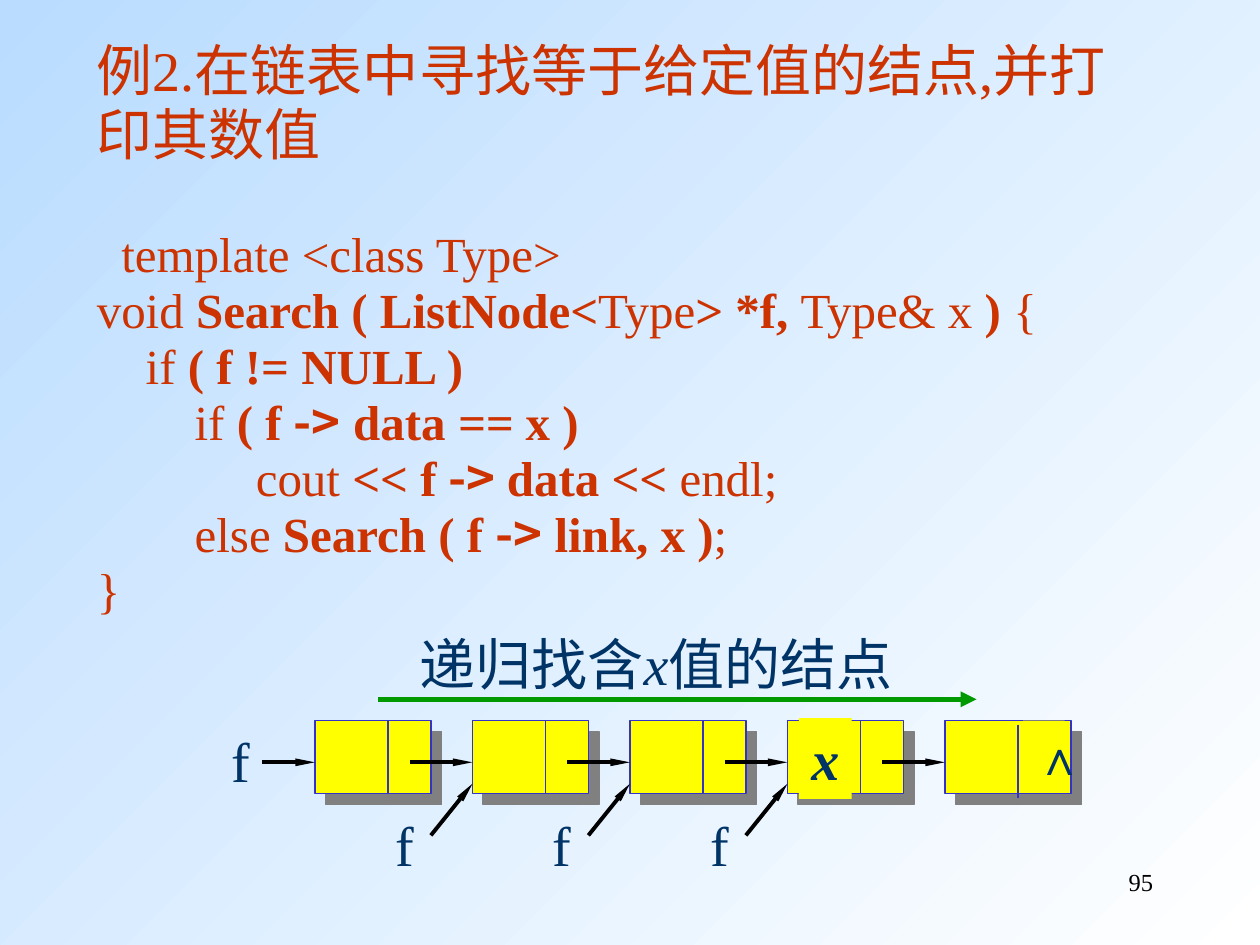
from dataclasses import dataclass

from lxml import etree
from pptx import Presentation
from pptx.dml.color import RGBColor
from pptx.enum.shapes import MSO_CONNECTOR, MSO_SHAPE
from pptx.enum.text import MSO_ANCHOR, MSO_AUTO_SIZE, PP_ALIGN
from pptx.oxml import parse_xml
from pptx.oxml.ns import nsdecls, qn
from pptx.util import Inches, Pt

STRAIGHT = MSO_CONNECTOR.STRAIGHT
RECTANGLE = MSO_SHAPE.RECTANGLE
MIDDLE = MSO_ANCHOR.MIDDLE
FIT_SHAPE = MSO_AUTO_SIZE.SHAPE_TO_FIT_TEXT
FIXED = MSO_AUTO_SIZE.NONE
RIGHT = PP_ALIGN.RIGHT


@dataclass(frozen=True)
class Theme:
    """Colours, fonts and type sizes of the slide."""
    sky: str = "B9DCFF"
    white: str = "FFFFFF"
    code: str = "CC3300"
    label: str = "003366"
    node: str = "FFFF00"
    outline: str = "3333CC"
    shadow: str = "808080"
    pointer: str = "000000"
    search: str = "009900"
    font: str = "Times New Roman"
    symbol_font: str = "Noto Sans CJK SC"
    caret_font: str = "Arial"
    heading_size: int = 32
    code_size: int = 28
    number_size: int = 14


THEME = Theme()
PLAIN, BOLD, SYMBOL, ITALIC = "plain", "bold", "symbol", "italic"
HEADING = "例2.在链表中寻找等于给定值的结点,并打印其数值"
CODE_LINES = [
    [("  template <class Type>", PLAIN)],
    [("void", PLAIN), (" Search ( ListNode<", BOLD), ("Type", PLAIN),
     ("> *f, ", BOLD), ("Type& x", PLAIN), (" ) ", BOLD), ("{", PLAIN)],
    [("    if", PLAIN), (" ( f != NULL )", BOLD)],
    [("        if", PLAIN), (" ( f ", BOLD), ("->", SYMBOL), (" data ", BOLD),
     ("==", ITALIC), (" x )", BOLD)],
    [("             cout", PLAIN), (" << f ", BOLD), ("-> ", SYMBOL),
     ("data << ", BOLD), ("endl;", PLAIN)],
    [("        else", PLAIN), (" Search ( f ", BOLD), ("->", SYMBOL),
     (" link, x )", BOLD), (";", PLAIN)],
    [("}", PLAIN)],
]
NODE_COUNT, NODE_LEFT, NODE_STEP = 5, 2.5, 1.25
NODE_TOP, NODE_HEIGHT, DIVIDER_OFFSET = 5.72, 0.58, 0.58
POINTER_Y = 6.05


def set_font(font, size, color, name=THEME.font, bold=False, italic=False):
    """Set every property of a font."""
    font.name, font.size = name, Pt(size)
    font.bold, font.italic = bold, italic
    font.color.rgb = RGBColor.from_string(color)


def paint_background(slide):
    """Fill the background with a diagonal gradient."""
    fill = slide.background.fill
    fill.gradient()
    fill.gradient_angle = 315
    for stop, position, color in zip(fill.gradient_stops, (0, 1), (THEME.sky, THEME.white)):
        stop.position = position
        stop.color.rgb = RGBColor.from_string(color)


def add_code(slide):
    """Add the heading and the program listing in one text box."""
    box = slide.shapes.add_textbox(Inches(0.67), Inches(0.33), Inches(8.42), Inches(4.58))
    frame = box.text_frame
    frame.word_wrap = True
    frame.vertical_anchor = MIDDLE
    heading = frame.paragraphs[0]
    heading.text = HEADING
    heading.line_spacing = 0.95
    heading.space_after = Pt(34)
    set_font(heading.font, THEME.heading_size, THEME.code)
    for line in CODE_LINES:
        paragraph = frame.add_paragraph()
        paragraph.line_spacing = 0.95
        set_font(paragraph.font, THEME.code_size, THEME.code)
        for text, style in line:
            run = paragraph.add_run()
            run.text = text
            if style != PLAIN:
                run.font.bold = True
            if style == ITALIC:
                run.font.italic = True
            if style == SYMBOL:
                run.font.name = THEME.symbol_font


def add_line(slide, start, end, color, width):
    """Add a straight line without a shadow."""
    line = slide.shapes.add_connector(STRAIGHT, *(Inches(value) for value in start + end))
    line.line.color.rgb = RGBColor.from_string(color)
    line.line.width = Pt(width)
    etree.SubElement(line._element.spPr, qn("a:effectLst"))
    return line


def add_arrow(slide, start, end, color=THEME.pointer, width=2.25, head=("sm", "lg")):
    """Add a line with a triangular head at its end."""
    arrow = add_line(slide, start, end, color, width)
    etree.SubElement(arrow.line._get_or_add_ln(), qn("a:tailEnd"),
                     type="triangle", w=head[0], len=head[1])


def add_divider(slide, x, top=NODE_TOP):
    """Add the line between the data and link fields."""
    add_line(slide, (x, top), (x, top + NODE_HEIGHT), THEME.outline, 0.75)


def add_node(slide, left, width):
    """Add a list node with a hard shadow."""
    node = slide.shapes.add_shape(RECTANGLE, Inches(left), Inches(NODE_TOP),
                                  Inches(width), Inches(NODE_HEIGHT))
    node.fill.solid()
    node.fill.fore_color.rgb = RGBColor.from_string(THEME.node)
    node.line.color.rgb = RGBColor.from_string(THEME.outline)
    node.line.width = Pt(0.75)
    node._element.spPr.append(parse_xml(
        f'<a:effectLst {nsdecls("a")}><a:outerShdw blurRad="0" dist="{Pt(8.5)}" '
        f'dir="2700000" algn="ctr" rotWithShape="0"><a:srgbClr val="{THEME.shadow}"/>'
        '</a:outerShdw></a:effectLst>'))


def add_label(slide, bounds, parts, size=THEME.heading_size, color=THEME.label,
              fill=None, wrap=False, **font):
    """Add a text box of (text, italic) parts and return its paragraph."""
    box = slide.shapes.add_textbox(*(Inches(value) for value in bounds))
    if fill:
        box.fill.solid()
        box.fill.fore_color.rgb = RGBColor.from_string(fill)
    frame = box.text_frame
    frame.word_wrap = wrap
    frame.auto_size = FIXED if wrap else FIT_SHAPE
    paragraph = frame.paragraphs[0]
    set_font(paragraph.font, size, color, **font)
    for text, italic in parts:
        run = paragraph.add_run()
        run.text = text
        if italic:
            run.font.italic = True
    return paragraph


def add_list(slide):
    """Add the linked list with its node pointers."""
    for index in range(NODE_COUNT):
        left = NODE_LEFT + index * NODE_STEP
        last = index == NODE_COUNT - 1
        add_node(slide, left, 1 if last else 0.92)
        if not last:
            add_divider(slide, left + DIVIDER_OFFSET)
        add_arrow(slide, (left - (0.5 if index else 0.42), POINTER_Y), (left, POINTER_Y))
        if 0 < index and not last:
            add_arrow(slide, (left - 0.33, 6.63), (left, 6.22))
            add_label(slide, (left - 0.71, 6.38, 0.46, 0.64), [("f", False)])
    add_label(slide, (1.74, 5.72, 0.46, 0.64), [("f", False)])
    add_label(slide, (8.12, 5.72, 0.33, 0.57), [("∧", False)], THEME.code_size,
              fill=THEME.node, name=THEME.caret_font, bold=True)
    add_divider(slide, 8.08, 5.75)
    add_label(slide, (6.34, 5.7, 0.42, 0.64), [("x", True)], fill=THEME.node, bold=True)


def main():
    """Build and save the slide."""
    presentation = Presentation()
    presentation.slide_width, presentation.slide_height = Inches(10), Inches(7.5)
    slide = presentation.slides.add_slide(presentation.slide_layouts[6])
    paint_background(slide)
    add_code(slide)
    add_list(slide)
    add_arrow(slide, (3, 5.55), (7.75, 5.55), THEME.search, 3, ("med", "med"))
    add_label(slide, (3.23, 4.95, 4.17, 0.64),
              [("递归找含", False), ("x", True), ("值的结点", False)])
    number = add_label(slide, (7.17, 6.83, 2.08, 0.5), [("95", False)],
                       THEME.number_size, THEME.pointer, wrap=True)
    number.alignment = RIGHT
    presentation.save("out.pptx")


if __name__ == "__main__":
    main()
